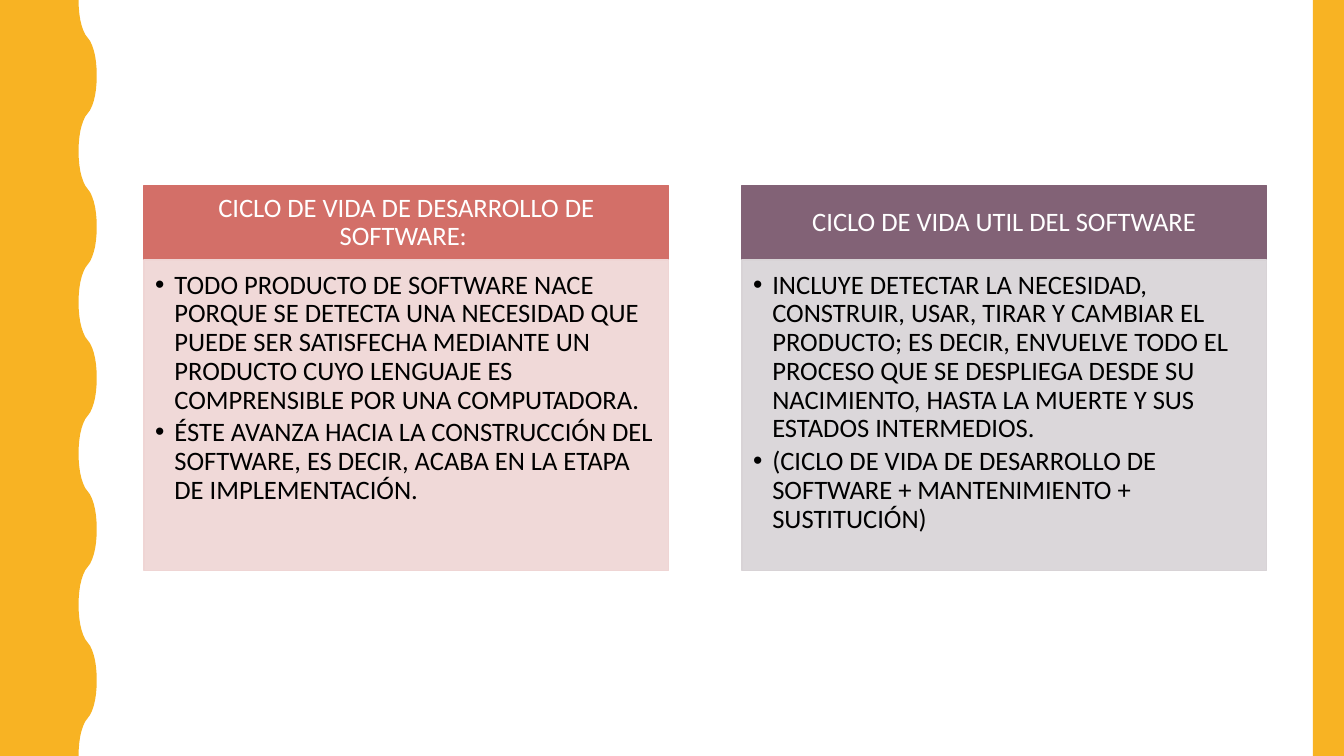
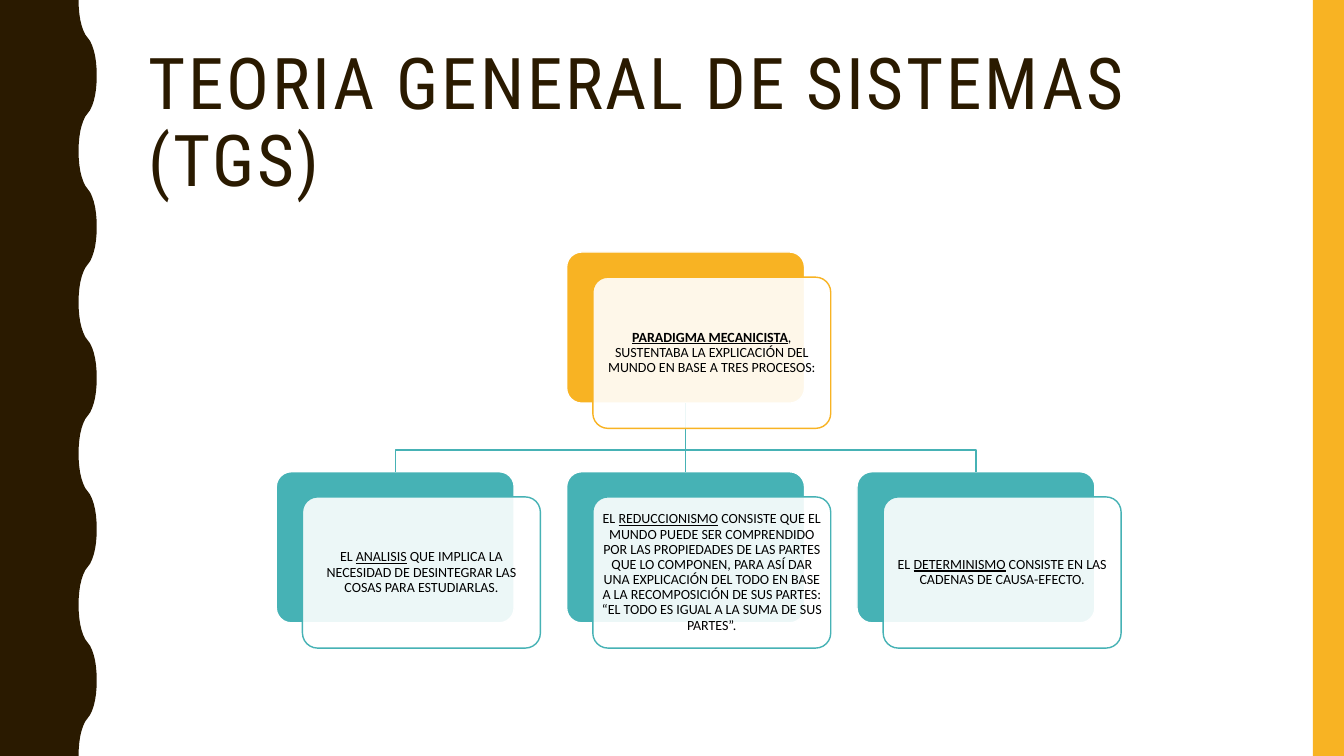
from dataclasses import dataclass

from lxml.etree import SubElement
from pptx import Presentation
from pptx.dml.color import RGBColor
from pptx.enum.shapes import MSO_CONNECTOR, MSO_SHAPE
from pptx.enum.text import MSO_ANCHOR, MSO_AUTO_SIZE, PP_ALIGN
from pptx.oxml.ns import qn
from pptx.util import Inches, Pt


@dataclass(frozen=True)
class Theme:
    """Colours, fonts and type sizes of the deck."""

    dark: str = "2A1A00"
    gold: str = "F8B323"
    teal: str = "46B2B5"
    coral: str = "D36F68"
    coral_tint: str = "EFD5D4"
    plum: str = "826276"
    plum_tint: str = "D8D3D6"
    white: str = "FFFFFF"
    black: str = "000000"
    title_font: str = "Roboto Condensed"
    body_font: str = "Calibri"
    title_size: int = 51
    panel_size: int = 19
    card_size: int = 10
    opacity: int = 90


THEME = Theme()
WIDTH, HEIGHT = 13.33, 7.5
WAVE_PERIOD = 1.5
WAVE_STEPS = 7
WAVE_CURVE = [(0.78, 0), (0.78, 0.17), (0.81, 0.3), (0.87, 0.38)]
PANELS = [
    (
        "CICLO DE VIDA DE DESARROLLO DE SOFTWARE: ",
        [
            "TODO PRODUCTO DE SOFTWARE NACE PORQUE SE DETECTA UNA NECESIDAD QUE PUEDE SER "
            "SATISFECHA MEDIANTE UN PRODUCTO CUYO LENGUAJE ES COMPRENSIBLE POR UNA COMPUTADORA.",
            "ÉSTE AVANZA HACIA LA CONSTRUCCIÓN DEL SOFTWARE, ES DECIR, ACABA EN LA ETAPA DE "
            "IMPLEMENTACIÓN.",
        ],
        THEME.coral,
        THEME.coral_tint,
    ),
    (
        "CICLO DE VIDA UTIL DEL SOFTWARE",
        [
            "INCLUYE DETECTAR LA NECESIDAD, CONSTRUIR, USAR, TIRAR Y CAMBIAR EL PRODUCTO; ES "
            "DECIR, ENVUELVE TODO EL PROCESO QUE SE DESPLIEGA DESDE SU NACIMIENTO, HASTA LA "
            "MUERTE Y SUS ESTADOS INTERMEDIOS.",
            "(CICLO DE VIDA DE DESARROLLO DE SOFTWARE + MANTENIMIENTO + SUSTITUCIÓN)",
        ],
        THEME.plum,
        THEME.plum_tint,
    ),
]
PLAIN = {}
UNDERLINED = {"underline": True}
PARADIGM = [
    ("PARADIGMA MECANICISTA", {"bold": True, "underline": True}),
    (", SUSTENTABA LA EXPLICACIÓN DEL MUNDO EN BASE A TRES PROCESOS:", PLAIN),
]
PROCESSES = [
    [
        ("EL ", PLAIN),
        ("ANALISIS", UNDERLINED),
        (" QUE IMPLICA LA NECESIDAD DE DESINTEGRAR LAS COSAS PARA ESTUDIARLAS.", PLAIN),
    ],
    [
        ("EL ", PLAIN),
        ("REDUCCIONISMO", UNDERLINED),
        (
            " CONSISTE QUE EL MUNDO PUEDE SER COMPRENDIDO POR LAS PROPIEDADES DE LAS PARTES "
            "QUE LO COMPONEN, PARA ASÍ DAR UNA EXPLICACIÓN DEL TODO EN BASE A LA "
            "RECOMPOSICIÓN DE SUS PARTES: “EL TODO ES IGUAL A LA SUMA DE SUS PARTES”.",
            PLAIN,
        ),
    ],
    [
        ("EL ", PLAIN),
        ("DETERMINISMO", UNDERLINED),
        (" CONSISTE EN LAS CADENAS DE CAUSA-EFECTO.", PLAIN),
    ],
]


def set_values(target, values):
    """Set every attribute named in the dict on the target."""
    for name, value in values.items():
        setattr(target, name, value)


def place(shape, left, top, width, height):
    """Move and size a shape, in inches."""
    names = ("left", "top", "width", "height")
    set_values(shape, dict(zip(names, map(Inches, (left, top, width, height)))))


def paint(shape, fill, line=None):
    """Give a shape a solid fill and an optional one-point outline."""
    shape.fill.solid()
    shape.fill.fore_color.rgb = RGBColor.from_string(fill)
    if line:
        shape.line.color.rgb = RGBColor.from_string(line)
        shape.line.width = Pt(1)
    else:
        shape.line.fill.background()


def fade(shape):
    """Make the fill of a shape slightly see-through."""
    colour = shape.fill._xPr.find(qn("a:solidFill"))[0]
    SubElement(colour, qn("a:alpha"), val=str(THEME.opacity * 1000))


def format_frame(frame, anchor, insets):
    """Set wrapping, anchor and insets of a text frame."""
    names = ("margin_left", "margin_top", "margin_right", "margin_bottom")
    set_values(frame, {
        "word_wrap": True,
        "auto_size": MSO_AUTO_SIZE.NONE,
        "vertical_anchor": anchor,
        **dict(zip(names, map(Inches, insets))),
    })


def write(para, spans, font, size, colour, align=PP_ALIGN.LEFT, after=0):
    """Fill a paragraph with formatted spans."""
    set_values(para, {
        "alignment": align,
        "line_spacing": 0.9,
        "space_before": Pt(0),
        "space_after": Pt(after),
    })
    for text, extra in spans:
        span = para.add_run()
        span.text = text
        set_values(span.font, {"name": font, "size": Pt(size), "bold": False, **extra})
        span.font.color.rgb = RGBColor.from_string(colour)


def add_bullet(para):
    """Give a paragraph a hanging round bullet."""
    properties = para._p.get_or_add_pPr()
    indent = Inches(0.19)
    properties.set("marL", str(indent))
    properties.set("indent", str(-indent))
    SubElement(properties, qn("a:buChar"), char="•")


def curve_point(t):
    """Return the point at t on the first quarter of a wave."""
    weights = ((1 - t) ** 3, 3 * t * (1 - t) ** 2, 3 * t * t * (1 - t), t ** 3)
    return tuple(sum(w * point[axis] for w, point in zip(weights, WAVE_CURVE))
                 for axis in (0, 1))


def wave_points():
    """Return the wavy edge, mirroring one quarter into whole periods."""
    quarter = [curve_point(step / WAVE_STEPS) for step in range(WAVE_STEPS)]
    middle = WAVE_CURVE[-1][0]
    rise = quarter + [(2 * middle - x, WAVE_PERIOD / 2 - y) for x, y in reversed(quarter)]
    period = rise + [(x, WAVE_PERIOD - y) for x, y in reversed(rise)]
    count = round(HEIGHT / WAVE_PERIOD)
    return [(x, index * WAVE_PERIOD + y) for index in range(count) for x, y in period]


def add_frame(page, wave_colour):
    """Draw the wavy left edge and the right band."""
    builder = page.shapes.build_freeform(0, 0)
    outline = wave_points() + [(0, HEIGHT)]
    builder.add_line_segments([(Inches(x), Inches(y)) for x, y in outline], close=True)
    wave = builder.convert_to_shape()
    band = page.shapes.add_shape(
        MSO_SHAPE.RECTANGLE, Inches(13.02), 0, Inches(0.31), Inches(HEIGHT)
    )
    for shape, colour in ((wave, wave_colour), (band, THEME.gold)):
        shape.shadow.inherit = False
        paint(shape, colour)


def fill_panel(header, body, box, content):
    """Lay out a headed list inside the given box."""
    left, top, width, height = box
    heading, items, colour, tint = content
    header_height = 0.74
    place(header, left, top, width, header_height)
    place(body, left, top + header_height, width, height - header_height)
    paint(header, colour, colour)
    paint(body, tint, tint)
    fade(body)
    format_frame(header.text_frame, MSO_ANCHOR.MIDDLE, (0.15, 0.08, 0.15, 0.08))
    format_frame(body.text_frame, MSO_ANCHOR.TOP, (0.11, 0.11, 0.15, 0.17))
    write(header.text_frame.paragraphs[0], [(heading, PLAIN)], THEME.body_font,
          THEME.panel_size, THEME.white, PP_ALIGN.CENTER)
    for index, item in enumerate(items):
        frame = body.text_frame
        para = frame.add_paragraph() if index else frame.paragraphs[0]
        add_bullet(para)
        write(para, [(item, PLAIN)], THEME.body_font, THEME.panel_size, THEME.black, after=3)


def add_rounded(page, left, top, fill, line):
    """Add one rounded box of the hierarchy."""
    shape = page.shapes.add_shape(
        MSO_SHAPE.ROUNDED_RECTANGLE, Inches(left), Inches(top), Inches(2.36), Inches(1.5)
    )
    shape.adjustments[0] = 0.1
    shape.shadow.inherit = False
    paint(shape, fill, line)
    return shape


def add_card(page, left, top, colour, spans):
    """Add the see-through text card that overlaps a plate."""
    card = add_rounded(page, left + 0.26, top + 0.25, THEME.white, colour)
    fade(card)
    format_frame(card.text_frame, MSO_ANCHOR.MIDDLE, (0.04,) * 4)
    write(card.text_frame.paragraphs[0], spans, THEME.body_font, THEME.card_size,
          THEME.black, PP_ALIGN.CENTER)


def add_branch(page, parent, child):
    """Join the bottom of a parent to the top of a child."""
    start = (parent.left + parent.width // 2, parent.top + parent.height)
    end = (child.left + child.width // 2, child.top)
    across, down = end[0] - start[0], end[1] - start[1]
    kind = MSO_CONNECTOR.ELBOW if across else MSO_CONNECTOR.STRAIGHT
    branch = page.shapes.add_connector(kind, *start, *end)
    branch.begin_connect(parent, 2)
    branch.end_connect(child, 0)
    branch.line.color.rgb = RGBColor.from_string(THEME.teal)
    branch.line.width = Pt(1)
    properties = branch._element.spPr
    SubElement(properties, qn("a:effectLst"))
    if across:
        turn = {"rot": "16200000", "flipH": "1"} if across > 0 else {"rot": "5400000"}
        frame = properties.find(qn("a:xfrm"))
        frame.attrib.clear()
        frame.attrib.update(turn)
        set_values(branch, {
            "left": (start[0] + end[0] - down) // 2,
            "top": (start[1] + end[1] - abs(across)) // 2,
            "width": down,
            "height": abs(across),
        })
        guides = properties.find(qn("a:prstGeom")).find(qn("a:avLst"))
        SubElement(guides, qn("a:gd"), name="adj1", fmla="val 68500")


def add_hierarchy(page, left, top):
    """Draw a parent box with its three children below."""
    step, drop = 2.88, 2.18
    nodes = [(left + step, top, THEME.gold, PARADIGM)]
    nodes += [(left + index * step, top + drop, THEME.teal, spans)
              for index, spans in enumerate(PROCESSES)]
    parent, *children = [add_rounded(page, x, y, colour, THEME.white)
                         for x, y, colour, _ in nodes]
    for child in children:
        add_branch(page, parent, child)
    for node in nodes:
        add_card(page, *node)


def build_comparison(deck):
    """Build the slide with two headed lists side by side."""
    page = deck.slides.add_slide(deck.slide_layouts[4])
    title = page.shapes.title._element
    title.getparent().remove(title)
    add_frame(page, THEME.gold)
    holders = {holder.placeholder_format.idx: holder for holder in page.placeholders}
    for index, content in enumerate(PANELS):
        box = (1.43 + index * 5.93, 1.84, 5.2, 3.82)
        fill_panel(holders[1 + 2 * index], holders[2 + 2 * index], box, content)


def build_theory(deck):
    """Build the titled slide with the hierarchy."""
    page = deck.slides.add_slide(deck.slide_layouts[5])
    add_frame(page, THEME.dark)
    title = page.shapes.title
    place(title, 1.37, 0.42, 11.13, 1.63)
    format_frame(title.text_frame, MSO_ANCHOR.MIDDLE, (0.1, 0.05, 0.1, 0.05))
    para = title.text_frame.paragraphs[0]
    write(para, [("TEORIA GENERAL DE SISTEMAS (TGS)", PLAIN)], THEME.title_font,
          THEME.title_size, THEME.dark)
    para.runs[0]._r.get_or_add_rPr().set("spc", "200")
    add_hierarchy(page, 2.74, 2.5)


def main():
    """Build and save the deck."""
    deck = Presentation()
    set_values(deck, {"slide_width": Inches(WIDTH), "slide_height": Inches(HEIGHT)})
    build_comparison(deck)
    build_theory(deck)
    deck.save("out.pptx")


if __name__ == "__main__":
    main()
